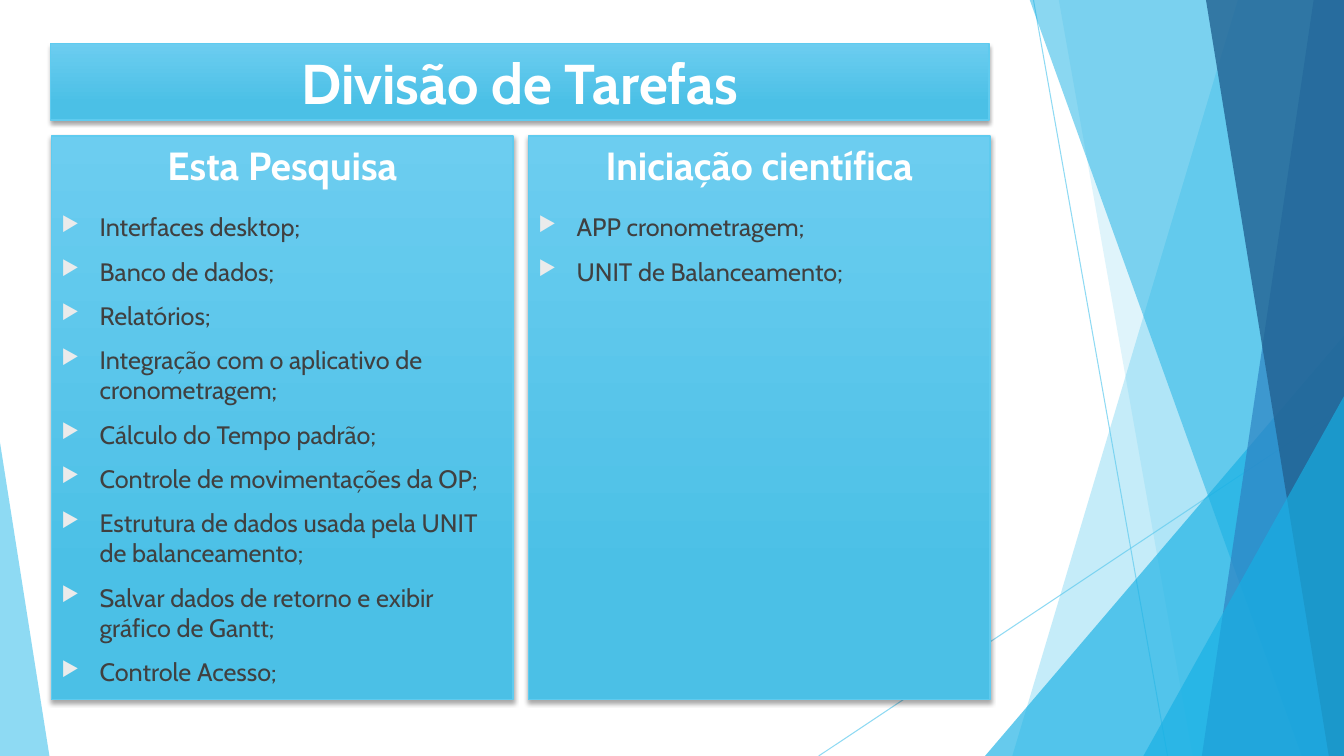
from lxml import etree
from pptx import Presentation
from pptx.dml.color import RGBColor
from pptx.enum.shapes import MSO_CONNECTOR, MSO_SHAPE
from pptx.enum.text import MSO_ANCHOR, PP_ALIGN
from pptx.oxml import parse_xml
from pptx.oxml.ns import qn
from pptx.util import Inches, Pt

RECT, TRIANGLE = MSO_SHAPE.RECTANGLE, MSO_SHAPE.ISOSCELES_TRIANGLE
STRAIGHT = MSO_CONNECTOR.STRAIGHT
TOP, MIDDLE = MSO_ANCHOR.TOP, MSO_ANCHOR.MIDDLE
CENTER = PP_ALIGN.CENTER

FONT = "Cabin"
WIDTH, HEIGHT = 13.33, 7.5
SKY, CYAN, BLUE, NAVY = "5FCBEF", "17B0E4", "2E83C3", "226292"
WHITE, GREY, BULLET = "FFFFFF", "404040", "EBEBEB"
GRADIENT = [(0, "6CCDF0"), (0.78, "4BC0E6")]
INDENT = 0.38
SHADOW = (
    '<a:outerShdw xmlns:a="http://schemas.openxmlformats.org/drawingml/2006/main"'
    ' blurRad="38100" dist="25400" dir="5400000" rotWithShape="0">'
    '<a:srgbClr val="000000"><a:alpha val="35000"/></a:srgbClr></a:outerShdw>'
)

# Bands reaching the right edge: top x, bottom x, colour, opacity
BANDS_BACK = [(12.28, 10.04, SKY, 36), (10.5, 11.83, SKY, 20)]
BANDS_FRONT = [(10.21, 12.91, CYAN, 50), (13.03, 11.92, BLUE, 70),
               (11.96, 13.18, NAVY, 80)]

RESEARCH_TASKS = [
    "Interfaces desktop;",
    "Banco de dados;",
    "Relatórios;",
    "Integração com o aplicativo de cronometragem;",
    "Cálculo do Tempo padrão;",
    "Controle de movimentações da OP;",
    "Estrutura de dados usada pela UNIT de balanceamento;",
    "Salvar dados de retorno e exibir gráfico de Gantt;",
    "Controle Acesso;",
]
INITIATION_TASKS = ["APP cronometragem;", "UNIT de Balanceamento;"]


def rgb(color):
    return RGBColor.from_string(color)


def set_opacity(sp, percent):
    for clr in sp._element.spPr.iter(qn("a:srgbClr")):
        etree.SubElement(clr, qn("a:alpha"), val=str(percent * 1000))


def style_facet(sp, color, opacity):
    sp.shadow.inherit = False
    sp.fill.solid()
    sp.fill.fore_color.rgb = rgb(color)
    sp.line.fill.background()
    set_opacity(sp, opacity)


def add_ray(s, start, end):
    line = s.shapes.add_connector(STRAIGHT, *map(Inches, start + end))
    line.line.color.rgb = rgb(SKY)
    line.line.width = Pt(0.75)
    set_opacity(line, 70)
    etree.SubElement(line._element.spPr, qn("a:effectLst"))


def add_band(s, top_x, bottom_x, color, opacity):
    corners = [(top_x, -0.01), (WIDTH, -0.01), (WIDTH, HEIGHT), (bottom_x, HEIGHT)]
    points = [(Inches(x), Inches(y)) for x, y in corners]
    builder = s.shapes.build_freeform(*points[0])
    builder.add_line_segments(points[1:], close=True)
    style_facet(builder.convert_to_shape(), color, opacity)


def add_triangle(s, box, apex, color, opacity):
    sp = s.shapes.add_shape(TRIANGLE, *map(Inches, box))
    sp.adjustments[0] = apex
    style_facet(sp, color, opacity)


def add_backdrop(s):
    add_ray(s, (10.25, 0), (11.58, HEIGHT))
    add_ray(s, (WIDTH, 4.03), (8.12, HEIGHT))
    for band in BANDS_BACK:
        add_band(s, *band)
    add_triangle(s, (9.77, 3.33, 3.56, 4.17), 1, CYAN, 66)
    for band in BANDS_FRONT:
        add_band(s, *band)
    add_triangle(s, (11.34, 3.93, 1.99, 3.57), 1, CYAN, 66)
    add_triangle(s, (0, 4.39, 0.49, 3.11), 0, SKY, 70)


def write(p, text, **font):
    r = p.add_run()
    r.text = text
    color = font.pop("color")
    for name, value in dict(font, name=FONT).items():
        setattr(r.font, name, value)
    r.font.color.rgb = rgb(color)


def add_panel(s, box, heading, size, anchor):
    """Add a shaded gradient rectangle with a bold centred heading."""
    sp = s.shapes.add_shape(RECT, *map(Inches, box))
    sp.fill.gradient()
    sp.fill.gradient_angle = 270
    for stop, (position, color) in zip(sp.fill.gradient_stops, GRADIENT):
        stop.position = position
        stop.color.rgb = rgb(color)
    sp.line.color.rgb = rgb(SKY)
    sp.line.width = Pt(1)
    sp.shadow.inherit = False
    sp._element.spPr.find(qn("a:effectLst")).append(parse_xml(SHADOW))
    tf = sp.text_frame
    tf.word_wrap = True
    tf.vertical_anchor = anchor
    p = tf.paragraphs[0]
    p.alignment = CENTER
    write(p, heading, size=Pt(size), bold=True, color=WHITE)


def add_bullet(p):
    pPr = p._p.get_or_add_pPr()
    pPr.set("marL", str(Inches(INDENT)))
    pPr.set("indent", str(-Inches(INDENT)))
    clr = etree.SubElement(pPr, qn("a:buClr"))
    etree.SubElement(clr, qn("a:srgbClr"), val=BULLET)
    etree.SubElement(pPr, qn("a:buSzPct"), val="80000")
    etree.SubElement(pPr, qn("a:buChar"), char="▶")


def add_task_column(s, box, heading, tasks):
    left, top, width, height = box
    add_panel(s, box, heading, 28, TOP)
    list_box = (left, top + 0.7, width, height - 0.7)
    tf = s.shapes.add_textbox(*map(Inches, list_box)).text_frame
    tf.word_wrap = True
    for i, task in enumerate(tasks):
        p = tf.add_paragraph() if i else tf.paragraphs[0]
        p.space_before = Pt(10)
        add_bullet(p)
        write(p, task, size=Pt(18), color=GREY)


def main():
    prs = Presentation()
    prs.slide_width, prs.slide_height = Inches(WIDTH), Inches(HEIGHT)
    s = prs.slides.add_slide(prs.slide_layouts[6])
    add_backdrop(s)
    add_panel(s, (0.5, 0.43, 9.31, 0.76), "Divisão de Tarefas", 40, MIDDLE)
    columns = [("Esta Pesquisa", RESEARCH_TASKS),
               ("Iniciação científica", INITIATION_TASKS)]
    for i, (heading, tasks) in enumerate(columns):
        add_task_column(s, (0.51 + i * 4.73, 1.35, 4.58, 5.59), heading, tasks)
    prs.save("out.pptx")


if __name__ == "__main__":
    main()
